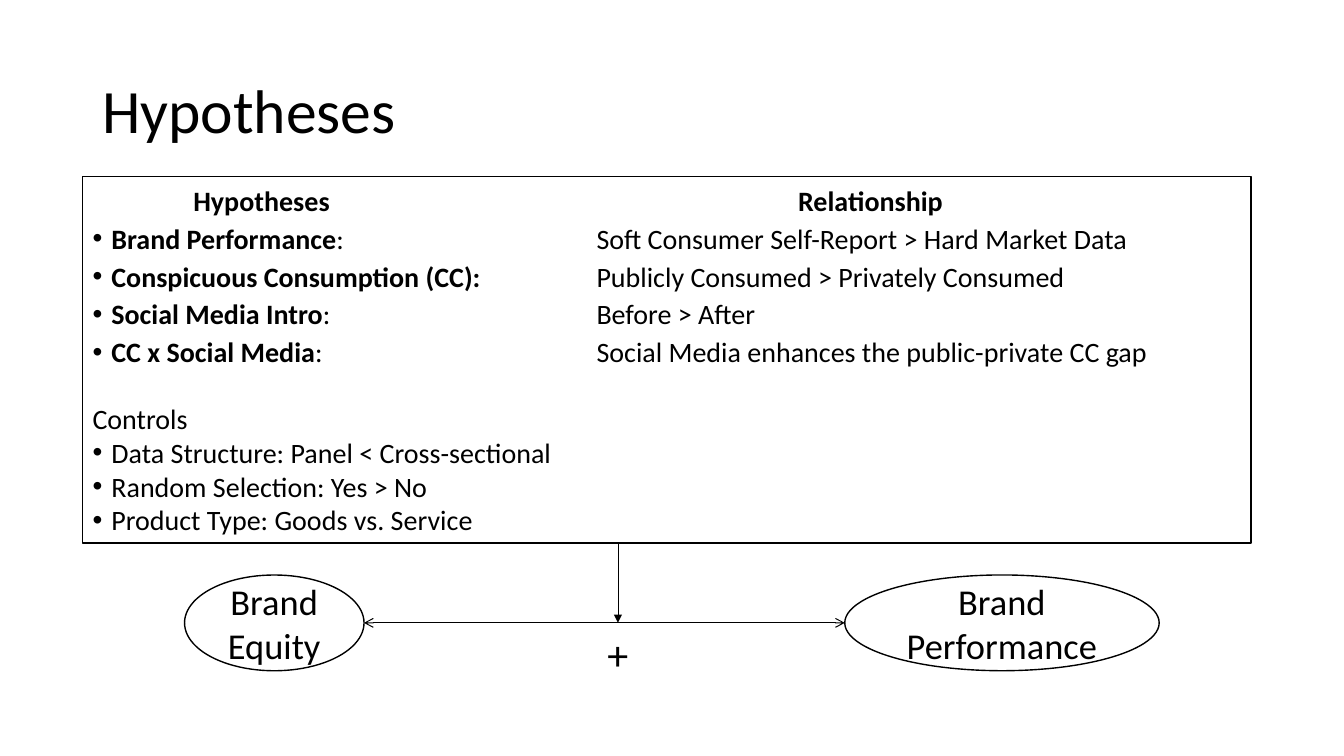
import pptx
import pptx.util
import pptx.dml.color
import pptx.enum.shapes
import pptx.enum.text
import pptx.oxml
import pptx.oxml.ns
from dataclasses import dataclass
from lxml import etree

Pt = pptx.util.Pt
Align = pptx.enum.text.PP_ALIGN
Anchor = pptx.enum.text.MSO_ANCHOR
Preset = pptx.enum.shapes.MSO_SHAPE


@dataclass(frozen=True)
class Theme:
    font: str = "Calibri"
    ink: str = "000000"
    paper: str = "FFFFFF"
    title: float = 44
    sign: float = 30
    construct: float = 26
    body: float = 20
    outline: float = 1


THEME = Theme()
HYPOTHESES = [
    ("Brand Performance", ":", "Soft Consumer Self-Report > Hard Market Data"),
    ("Conspicuous Consumption (CC):", "", "Publicly Consumed > Privately Consumed"),
    ("Social Media Intro", ":", "Before > After"),
    ("CC x Social Media", ":", "Social Media enhances the public-private CC gap"),
]
CONTROLS = [
    "Data Structure: Panel < Cross-sectional",
    "Random Selection: Yes > No",
    "Product Type: Goods vs. Service",
]


def colour(value):
    return pptx.dml.color.RGBColor.from_string(value)


def add_text(frame, runs, size, align=Align.LEFT, spacing=None, before=0, after=0,
             bullet=False, tabs=()):
    first = frame.paragraphs[0]
    paragraph = frame.add_paragraph() if first.runs else first
    paragraph.alignment = align
    paragraph.line_spacing = spacing
    paragraph.space_after = Pt(after)
    if before:
        paragraph.space_before = Pt(before)
    properties = paragraph._p.get_or_add_pPr()
    if bullet:
        properties.set("marL", str(Pt(13.5)))
        properties.set("indent", str(Pt(-13.5)))
        font = etree.SubElement(properties, pptx.oxml.ns.qn("a:buFont"))
        font.set("typeface", "Arial")
        etree.SubElement(properties, pptx.oxml.ns.qn("a:buChar")).set("char", "•")
    if tabs:
        stops = etree.SubElement(properties, pptx.oxml.ns.qn("a:tabLst"))
        for position in tabs:
            stop = etree.SubElement(stops, pptx.oxml.ns.qn("a:tab"))
            stop.set("pos", str(Pt(position)))
            stop.set("algn", "l")
    for words, bold in runs:
        run = paragraph.add_run()
        run.text = words
        run.font.name = THEME.font
        run.font.size = Pt(size)
        run.font.bold = bold
        run.font.color.rgb = colour(THEME.ink)


def add_outlined(slide, preset, box):
    outlined = slide.shapes.add_shape(preset, *map(Pt, box))
    outlined.shadow.inherit = False
    outlined.fill.solid()
    outlined.fill.fore_color.rgb = colour(THEME.paper)
    outlined.line.color.rgb = colour(THEME.ink)
    outlined.line.width = Pt(THEME.outline)
    outlined.text_frame.word_wrap = True
    outlined.text_frame.vertical_anchor = Anchor.MIDDLE
    return outlined.text_frame


def add_label(slide, box, words, size, anchor, **format):
    frame = slide.shapes.add_textbox(*map(Pt, box)).text_frame
    frame.word_wrap = True
    frame.vertical_anchor = anchor
    add_text(frame, [(words, False)], size, **format)


def add_arrow(slide, start, end, width, **heads):
    arrow = slide.shapes.add_connector(
        pptx.enum.shapes.MSO_CONNECTOR.STRAIGHT, *map(Pt, start + end))
    arrow.line.color.rgb = colour(THEME.ink)
    arrow.line.width = Pt(width)
    outline = arrow.line._get_or_add_ln()
    for side, kind in heads.items():
        etree.SubElement(outline, pptx.oxml.ns.qn(f"a:{side}")).set("type", kind)
    etree.SubElement(arrow._element.spPr, pptx.oxml.ns.qn("a:effectLst"))


def add_hypotheses(slide, box):
    panel = add_outlined(slide, Preset.RECTANGLE, box)
    size = THEME.body
    add_text(panel, [("\tHypotheses\tRelationship", True)], size, after=3, tabs=(72, 504))
    for factor, colon, relationship in HYPOTHESES:
        last = factor == HYPOTHESES[-1][0]
        add_text(panel, [(factor, True), (f"{colon}\t{relationship}", False)], size,
                 after=0 if last else 3, bullet=True, tabs=(360,))
    add_text(panel, [("Controls", False)], size, before=24)
    for control in CONTROLS:
        add_text(panel, [(control, False)], size, bullet=True)


def add_model(slide, box):
    left, top, width, height = box
    equity_width, performance_width = 128.2, 224.6
    middle = top + height / 2
    performance_left = left + width - performance_width
    effect_x = left + 309.6
    for construct, x, construct_width in (
            ("Brand Equity", left, equity_width),
            ("Brand Performance", performance_left, performance_width)):
        frame = add_outlined(slide, Preset.OVAL, (x, top, construct_width, height))
        add_text(frame, [(construct, False)], THEME.construct, align=Align.CENTER)
    add_arrow(slide, (left + equity_width, middle), (performance_left, middle), 0.75,
              headEnd="arrow", tailEnd="arrow")
    add_arrow(slide, (effect_x, top - 22.6), (effect_x, middle), 0.5, tailEnd="triangle")
    add_label(slide, (effect_x - 27.4, middle + 0.7, 54.8, 44), "+", THEME.sign,
              Anchor.TOP, align=Align.CENTER)


def main():
    deck = pptx.Presentation()
    deck.slide_width, deck.slide_height = Pt(960), Pt(540)
    slide = deck.slides.add_slide(deck.slide_layouts[6])
    add_label(slide, (66, 28.8, 828, 104.4), "Hypotheses", THEME.title, Anchor.MIDDLE,
              spacing=0.9)
    add_model(slide, (131.8, 410.7, 696.2, 68.4))
    add_hypotheses(slide, (59, 126, 834.5, 262))
    deck.save("out.pptx")


if __name__ == "__main__":
    main()
